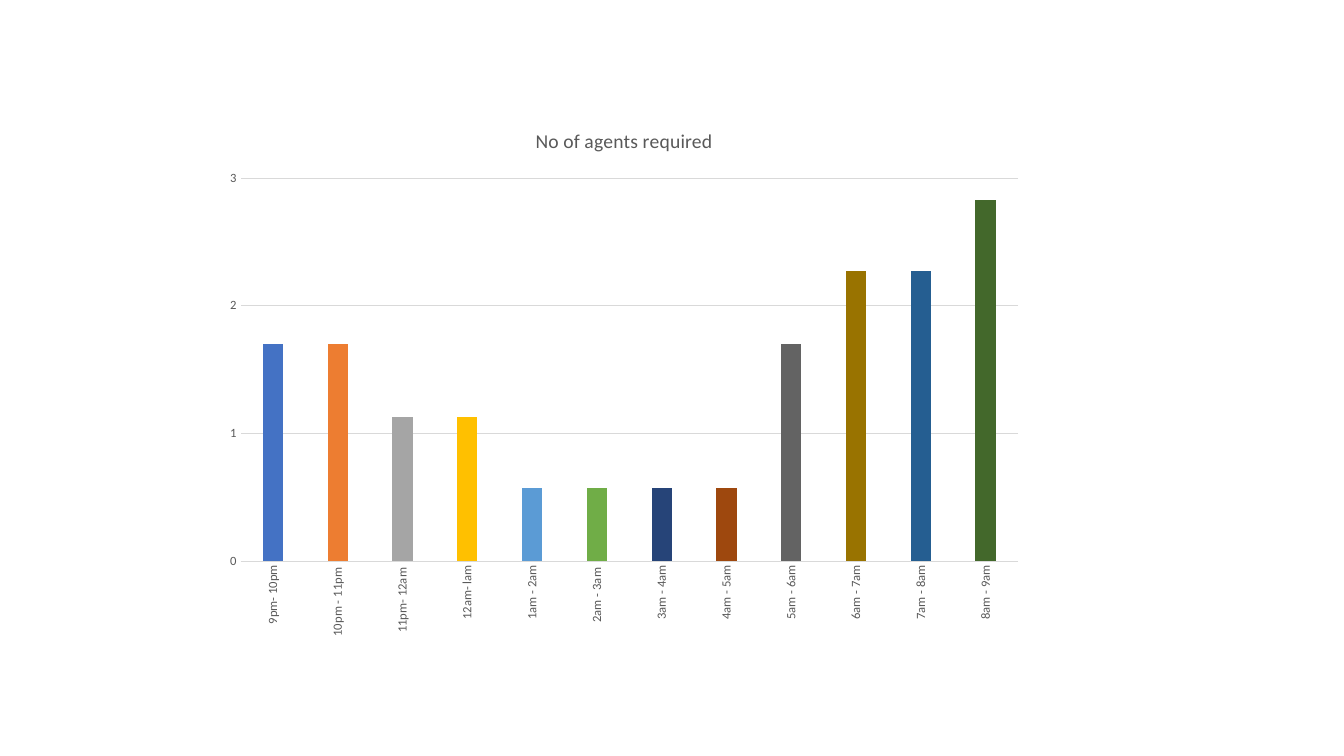
from pptx import Presentation
from pptx.chart.data import CategoryChartData
from pptx.dml.color import RGBColor
from pptx.enum.chart import XL_CHART_TYPE as ChartType, XL_TICK_MARK as TickMark
from pptx.util import Inches, Pt

COLOURS = {"text": "595959", "line": "D9D9D9"}
FONT = "Calibri"

# Time slot, agents required, column colour
AGENTS = [
    ("9pm- 10pm", 1.7, "4472C4"),
    ("10pm - 11pm ", 1.7, "ED7D31"),
    ("11pm- 12am ", 1.13, "A5A5A5"),
    ("12am- lam", 1.13, "FFC000"),
    ("1am - 2am", 0.57, "5B9BD5"),
    ("2am - 3am ", 0.57, "70AD47"),
    ("3am - 4am", 0.57, "264478"),
    ("4am - 5am", 0.57, "9E480E"),
    ("5am - 6am", 1.7, "636363"),
    ("6am - 7am", 2.27, "997300"),
    ("7am - 8am", 2.27, "255E91"),
    ("8am - 9am", 2.83, "43682B"),
]


def set_font(font, size):
    for name, value in {"name": FONT, "size": Pt(size), "bold": False}.items():
        setattr(font, name, value)
    font.color.rgb = RGBColor.from_string(COLOURS["text"])


def set_line(line):
    line.width = Pt(0.75)
    line.color.rgb = RGBColor.from_string(COLOURS["line"])


def add_agents_chart(page):
    data = CategoryChartData()
    data.categories = [slot for slot, _, _ in AGENTS]
    data.add_series("Series 1", [agents for _, agents, _ in AGENTS])
    chart = page.shapes.add_chart(
        ChartType.COLUMN_CLUSTERED,
        Inches(2.12), Inches(1.07), Inches(8.14), Inches(5.35), data,
    ).chart
    chart.has_legend = False
    chart.font.name = FONT
    chart.font.size = Pt(10)
    return chart


def style_title(chart, text):
    chart.has_title = True
    chart.chart_title.include_in_layout = False
    para = chart.chart_title.text_frame.paragraphs[0]
    span = para.add_run()
    span.text = text
    set_font(span.font, 14)


def style_axes(chart):
    slots, agents = chart.category_axis, chart.value_axis
    for axis in (slots, agents):
        axis.major_tick_mark = axis.minor_tick_mark = TickMark.NONE
        set_font(axis.tick_labels.font, 9)

    slots.has_major_gridlines = False
    set_line(slots.format.line)
    # Turn the slot labels to read upwards
    body = slots._element.txPr.bodyPr
    body.set("rot", "-5400000")
    body.set("vert", "horz")

    scale = {"minimum_scale": 0, "maximum_scale": 3, "major_unit": 1,
             "has_major_gridlines": True}
    for name, value in scale.items():
        setattr(agents, name, value)
    agents.format.line.fill.background()
    set_line(agents.major_gridlines.format.line)
    agents.tick_labels.number_format = "0"
    agents.tick_labels.number_format_is_linked = False


def style_columns(chart):
    plot = chart.plots[0]
    for name, value in {"gap_width": 219, "overlap": -27, "vary_by_categories": True}.items():
        setattr(plot, name, value)
    series = plot.series[0]
    series.invert_if_negative = False
    for index, (_, _, colour) in enumerate(AGENTS):
        fill = series.points[index].format.fill
        fill.solid()
        fill.fore_color.rgb = RGBColor.from_string(colour)


def main():
    deck = Presentation()
    deck.slide_width, deck.slide_height = Inches(13.33), Inches(7.5)
    page = deck.slides.add_slide(deck.slide_layouts[6])
    chart = add_agents_chart(page)
    style_title(chart, "No of agents required")
    style_axes(chart)
    style_columns(chart)
    deck.save("out.pptx")


if __name__ == "__main__":
    main()
